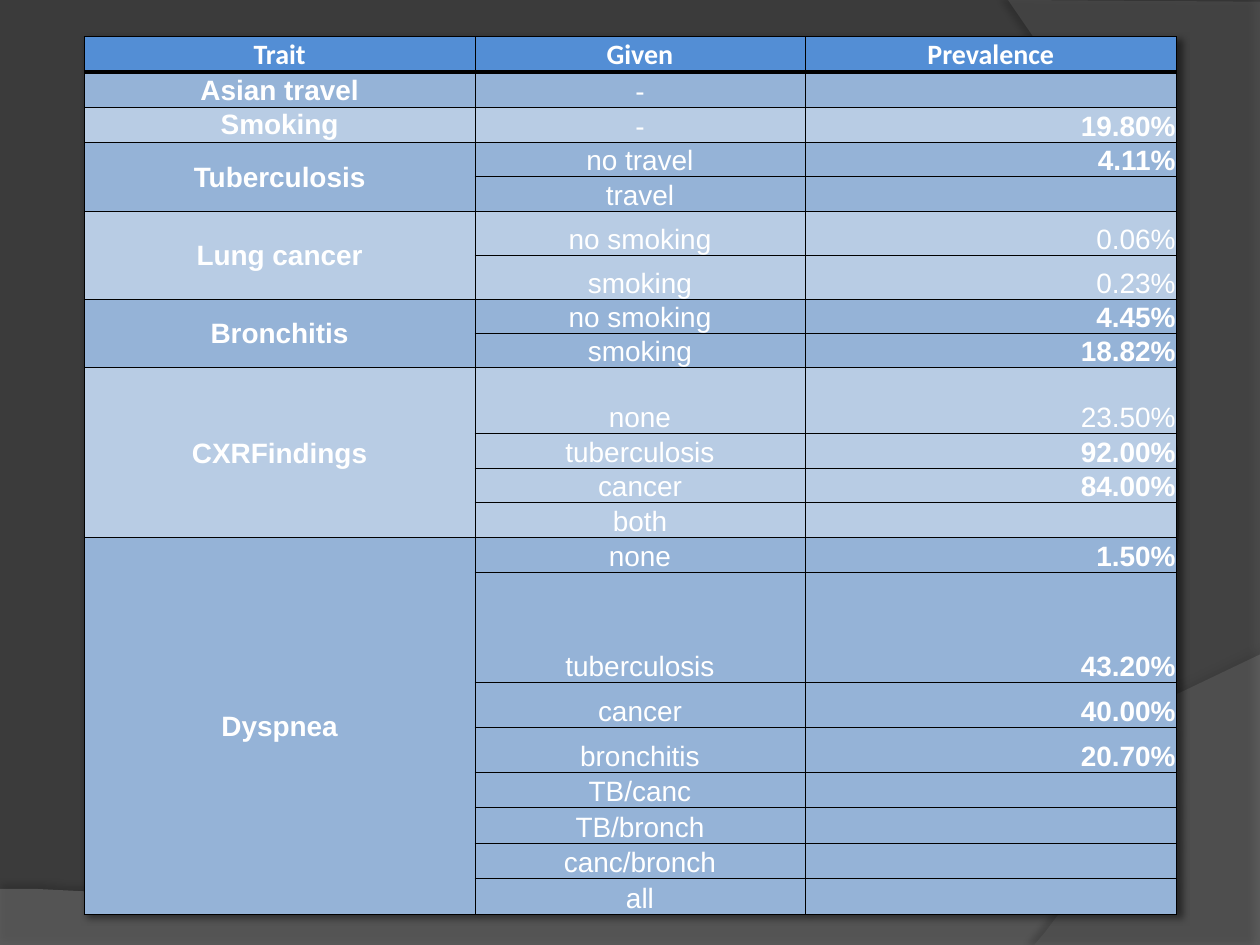
from dataclasses import dataclass

from lxml.etree import SubElement
from pptx import Presentation
from pptx.dml.color import RGBColor
from pptx.enum.text import MSO_ANCHOR, PP_ALIGN
from pptx.oxml import parse_xml
from pptx.oxml.ns import nsdecls, qn
from pptx.util import Pt


@dataclass(frozen=True)
class Theme:
    """Colours, fonts and type size of the slide."""
    back: str = "3B3B3B"
    wave: str = "7F7F7F"
    side: str = "5E5E5E"
    head: str = "538ED5"
    bands: tuple = ("95B3D7", "B8CCE4")
    text: str = "FFFFFF"
    line: str = "000000"
    head_font: str = "Calibri"
    body_font: str = "Arial"
    size: float = 16


THEME = Theme()
SLIDE = (720, 540)
COLUMNS = (223.2, 188.6, 212.4)
ROW = 19.7
HEADS = ("Trait", "Given", "Prevalence")
TRAITS = (
    ("Asian travel", (("-", "", ROW),)),
    ("Smoking", (("-", "19.80%", ROW),)),
    ("Tuberculosis", (("no travel", "4.11%", ROW), ("travel", "", ROW))),
    ("Lung cancer", (("no smoking", "0.06%", 24.9), ("smoking", "0.23%", 24.9))),
    ("Bronchitis", (("no smoking", "4.45%", ROW), ("smoking", "18.82%", ROW))),
    ("CXRFindings", (("none", "23.50%", 37.6), ("tuberculosis", "92.00%", ROW),
                     ("cancer", "84.00%", ROW), ("both", "", ROW))),
    ("Dyspnea", (("none", "1.50%", ROW), ("tuberculosis", "43.20%", 63),
                 ("cancer", "40.00%", 25.7), ("bronchitis", "20.70%", 25.7),
                 ("TB/canc", "", ROW), ("TB/bronch", "", ROW),
                 ("canc/bronch", "", ROW), ("all", "", ROW))),
)
PLAIN_VALUES = {"0.06%", "0.23%", "23.50%"}


def apply(obj, values):
    """Set each named attribute on an object."""
    for name, value in values.items():
        setattr(obj, name, value)


def shadow(alpha, blur, dist, angle):
    """Return an effect list holding one outer shadow."""
    return parse_xml(
        f'<a:effectLst {nsdecls("a")}><a:outerShdw blurRad="{Pt(blur)}" dist="{Pt(dist)}" '
        f'dir="{angle * 60000}" algn="ctr" rotWithShape="0"><a:srgbClr val="{THEME.line}">'
        f'<a:alpha val="{alpha * 1000}"/></a:srgbClr></a:outerShdw></a:effectLst>')


def curve(p0, p1, p2, p3, steps=40):
    """Return points along a cubic curve, without its start."""
    return [tuple((1 - t) ** 3 * a + 3 * (1 - t) ** 2 * t * b + 3 * (1 - t) * t ** 2 * c + t ** 3 * d
                  for a, b, c, d in zip(p0, p1, p2, p3))
            for t in (i / steps for i in range(1, steps + 1))]


def add_panel(slide, points, color, alpha, effect):
    """Draw one translucent background panel."""
    builder = slide.shapes.build_freeform(*points[0], scale=float(Pt(1)))
    builder.add_line_segments(points[1:], close=True)
    sp = builder.convert_to_shape()
    sp.fill.solid()
    sp.fill.fore_color.rgb = RGBColor.from_string(color)
    SubElement(sp.fill._xPr.find(".//" + qn("a:srgbClr")), qn("a:alpha"), val=str(alpha * 1000))
    sp.line.fill.background()
    sp._element.spPr.append(effect)


def add_backdrop(slide, x, y, w, h):
    """Fill the box with the dark ground, bottom wave and side panel."""
    fill = slide.background.fill
    fill.solid()
    fill.fore_color.rgb = RGBColor.from_string(THEME.back)
    right, bottom = x + w, y + h
    start, corner = (x, y + 507.6), (right, y + 374.4)
    wave = [start, (x, bottom), (right, bottom), corner]
    wave += curve(corner, (x + 402.5, y + 524.9), (x + 281.5, y + 517.7), start)
    add_panel(slide, wave, THEME.wave, 45, shadow(35, 4, 3.5, 270))
    foot, top = (x + 591.1, bottom), (x + 576, y)
    side = [(right, y + 1.4), (right, bottom), foot]
    side += curve(foot, (x + 673.2, y + 445.7), (x + 733, y + 216), top)
    add_panel(slide, side, THEME.side, 40, shadow(45, 4, 4, 180))


def set_borders(cell, top=0.5, bottom=0.5):
    """Draw the four cell borders in the given widths."""
    pr = cell._tc.get_or_add_tcPr()
    for i, (side, width) in enumerate(zip("LRTB", (0.5, 0.5, top, bottom))):
        pr.insert(i, parse_xml(
            f'<a:ln{side} {nsdecls("a")} w="{Pt(width)}"><a:solidFill>'
            f'<a:srgbClr val="{THEME.line}"/></a:solidFill></a:ln{side}>'))


def set_cell(cell, text, color, bold=False, font=THEME.body_font,
             align=PP_ALIGN.CENTER, anchor=MSO_ANCHOR.BOTTOM, **borders):
    """Write and format one cell."""
    apply(cell, dict(margin_left=Pt(0.7), margin_right=Pt(0.7), margin_top=Pt(0.7),
                     margin_bottom=0, vertical_anchor=anchor))
    cell.fill.solid()
    cell.fill.fore_color.rgb = RGBColor.from_string(color)
    set_borders(cell, **borders)
    p = cell.text_frame.paragraphs[0]
    p.alignment = align
    if text:
        r = p.add_run()
        apply(r, dict(text=text))
        apply(r.font, dict(size=Pt(THEME.size), name=font, bold=bold))
        r.font.color.rgb = RGBColor.from_string(THEME.text)
    else:
        SubElement(p._p, qn("a:endParaRPr"), sz=str(int(THEME.size * 100)))


def add_prevalence_table(slide, x, y):
    """Place the table of traits, conditions and prevalence."""
    heights = [ROW] + [h for _, rows in TRAITS for _, _, h in rows]
    frame = slide.shapes.add_table(len(heights), len(COLUMNS), Pt(x), Pt(y),
                                   Pt(sum(COLUMNS)), Pt(sum(heights)))
    table = frame.table
    table._tbl.tblPr.insert(0, shadow(50, 4, 3, 45))
    for column, width in zip(table.columns, COLUMNS):
        column.width = Pt(width)
    for row, height in zip(table.rows, heights):
        row.height = Pt(height)
    for cell, head in zip(table.rows[0].cells, HEADS):
        set_cell(cell, head, THEME.head, True, THEME.head_font, bottom=2)
    n = 1
    for i, (trait, rows) in enumerate(TRAITS):
        color, first = THEME.bands[i % 2], n
        for given, value, _ in rows:
            top = 2 if n == 1 else 0.5
            set_cell(table.cell(n, 0), trait if n == first else "", color, True,
                     anchor=MSO_ANCHOR.MIDDLE, top=top)
            set_cell(table.cell(n, 1), given, color, top=top)
            set_cell(table.cell(n, 2), value, color, value not in PLAIN_VALUES,
                     align=PP_ALIGN.RIGHT, top=top)
            n += 1
        if len(rows) > 1:
            table.cell(first, 0).merge(table.cell(n - 1, 0))


def main():
    """Build and save the slide."""
    prs = Presentation()
    apply(prs, dict(slide_width=Pt(SLIDE[0]), slide_height=Pt(SLIDE[1])))
    slide = prs.slides.add_slide(prs.slide_layouts[6])
    add_backdrop(slide, 0, 0, *SLIDE)
    add_prevalence_table(slide, 48.2, 20.9)
    prs.save("out.pptx")


if __name__ == "__main__":
    main()
